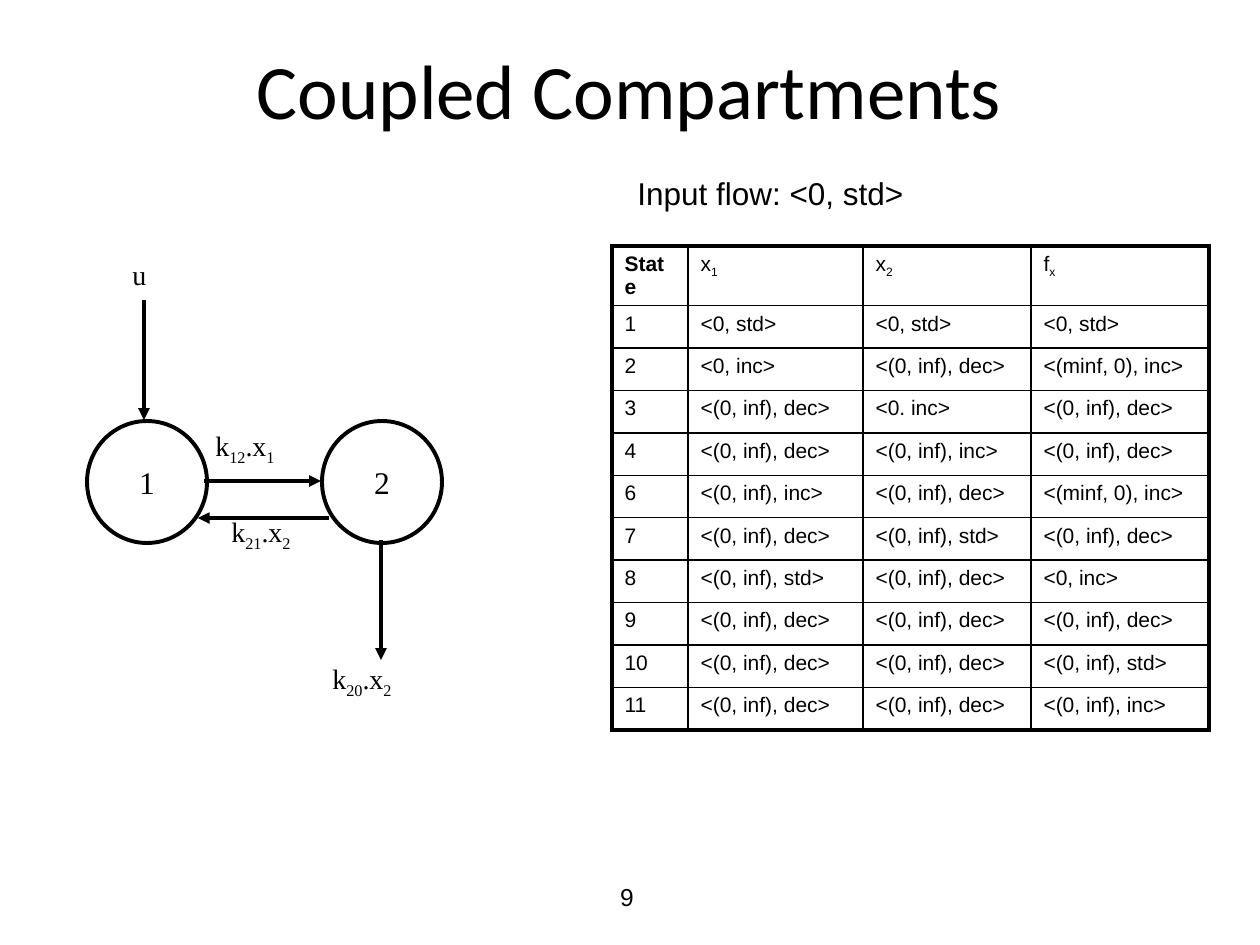
from dataclasses import dataclass

import lxml.etree
import pptx
import pptx.dml.color
import pptx.enum.shapes
import pptx.enum.text
import pptx.util
from pptx.oxml import ns

EMU_PER_PX = 914400 / 126
COLORS = {"ink": "000000"}
SANS, SERIF, HEADING = "Arial", "Times New Roman", "Calibri"
THICK, THIN = 2.25, 1
ALIGN = pptx.enum.text.PP_ALIGN
ANCHOR = pptx.enum.text.MSO_ANCHOR
AUTO_SIZE = pptx.enum.text.MSO_AUTO_SIZE


@dataclass
class Box:
    left: int
    top: int
    width: int
    height: int

    def emu(self) -> list[int]:
        return [px(n) for n in (self.left, self.top, self.width, self.height)]


@dataclass
class Label:
    text: str
    box: Box
    font: str = SERIF
    size: int = 16


@dataclass
class Arrow:
    start: tuple[int, int]
    end: tuple[int, int]


def px(length: int) -> int:
    return round(length * EMU_PER_PX)


def ink() -> pptx.dml.color.RGBColor:
    return pptx.dml.color.RGBColor.from_string(COLORS["ink"])


def write_text(frame, text: str, *, font: str, size: int, bold: bool = False,
               align=ALIGN.LEFT, anchor=ANCHOR.TOP, wrap: bool = True,
               auto_size=AUTO_SIZE.NONE) -> None:
    """Write one paragraph; every second part between bars is a subscript."""
    frame.word_wrap = wrap
    frame.auto_size = auto_size
    frame.vertical_anchor = anchor
    paragraph = frame.paragraphs[0]
    paragraph.alignment = align
    for index, part in enumerate(text.split("|")):
        if not part:
            continue
        run = paragraph.add_run()
        run.text = part
        run.font.name = font
        run.font.size = pptx.util.Pt(size)
        run.font.bold = bold
        run.font.color.rgb = ink()
        if index % 2:
            run._r.get_or_add_rPr().set("baseline", "-25000")


def draw_label(slide, label: Label) -> None:
    shape = slide.shapes.add_textbox(*label.box.emu())
    write_text(shape.text_frame, label.text, font=label.font, size=label.size,
               wrap=False, auto_size=AUTO_SIZE.SHAPE_TO_FIT_TEXT)


def draw_compartment(slide, name: str, box: Box) -> None:
    shape = slide.shapes.add_shape(pptx.enum.shapes.MSO_SHAPE.OVAL, *box.emu())
    shape.shadow.inherit = False
    shape.fill.background()
    shape.line.color.rgb = ink()
    shape.line.width = pptx.util.Pt(THICK)
    write_text(shape.text_frame, name, font=SERIF, size=18, align=ALIGN.CENTER,
               anchor=ANCHOR.MIDDLE, wrap=False)


def draw_arrow(slide, arrow: Arrow) -> None:
    ends = [px(n) for n in (*arrow.start, *arrow.end)]
    connector = slide.shapes.add_connector(
        pptx.enum.shapes.MSO_CONNECTOR.STRAIGHT, *ends)
    connector.line.color.rgb = ink()
    connector.line.width = pptx.util.Pt(THICK)
    properties = connector._element.spPr
    line = properties.find(ns.qn("a:ln"))
    lxml.etree.SubElement(line, ns.qn("a:tailEnd"), type="triangle")
    lxml.etree.SubElement(properties, ns.qn("a:effectLst"))


def set_borders(cell, widths: dict[str, float]) -> None:
    properties = cell._tc.get_or_add_tcPr()
    for side, width in widths.items():
        line = lxml.etree.SubElement(properties, ns.qn(f"a:ln{side}"),
                                     w=str(pptx.util.Pt(width)))
        fill = lxml.etree.SubElement(line, ns.qn("a:solidFill"))
        lxml.etree.SubElement(fill, ns.qn("a:srgbClr"), val=COLORS["ink"])


def draw_table(slide, box: Box, widths: list[int], rows: list[list[str]]) -> None:
    last_row, last_column = len(rows) - 1, len(widths) - 1
    table = slide.shapes.add_table(len(rows), len(widths), *box.emu()).table
    table.first_row = table.horz_banding = False
    for column, width in zip(table.columns, widths):
        column.width = px(width)
    for r, values in enumerate(rows):
        for c, value in enumerate(values):
            cell = table.cell(r, c)
            set_borders(cell, {
                "L": THICK if c == 0 else THIN,
                "R": THICK if c == last_column else THIN,
                "T": THICK if r == 0 else THIN,
                "B": THICK if r == last_row else THIN,
            })
            cell.fill.background()
            write_text(cell.text_frame, value, font=SANS, size=12,
                       bold=r == c == 0)


# Content
DEC, INC, STD = "<(0, inf), dec>", "<(0, inf), inc>", "<(0, inf), std>"
ZERO_STD, ZERO_INC, MINUS_INC = "<0, std>", "<0, inc>", "<(minf, 0), inc>"
STATES = [
    ["State", "x|1", "x|2", "f|x"],
    ["1", ZERO_STD, ZERO_STD, ZERO_STD],
    ["2", ZERO_INC, DEC, MINUS_INC],
    ["3", DEC, "<0. inc>", DEC],
    ["4", DEC, INC, DEC],
    ["6", INC, DEC, MINUS_INC],
    ["7", DEC, STD, DEC],
    ["8", STD, DEC, ZERO_INC],
    ["9", DEC, DEC, DEC],
    ["10", DEC, DEC, STD],
    ["11", DEC, DEC, INC],
]
COMPARTMENTS = {"1": Box(87, 421, 120, 122), "2": Box(322, 421, 120, 122)}
ARROWS = [
    Arrow((204, 481), (321, 481)),
    Arrow((144, 300), (144, 420)),
    Arrow((381, 540), (381, 660)),
    Arrow((329, 518), (198, 518)),
]
LABELS = [
    Label("Input flow: <0, std>", Box(625, 168, 291, 50), SANS, 18),
    Label("u", Box(120, 251, 39, 46)),
    Label("k|12|.x|1", Box(203, 422, 89, 46)),
    Label("k|20|.x|2", Box(320, 655, 89, 46)),
    Label("k|21|.x|2", Box(219, 508, 89, 46)),
]


def main() -> None:
    presentation = pptx.Presentation()
    presentation.slide_width, presentation.slide_height = px(1260), px(945)
    slide = presentation.slides.add_slide(presentation.slide_layouts[5])

    # Title and page number
    title = slide.shapes.title
    title.left, title.top, title.width, title.height = Box(94, 10, 1071, 158).emu()
    write_text(title.text_frame, "Coupled Compartments", font=HEADING, size=44,
               align=ALIGN.CENTER, anchor=ANCHOR.MIDDLE)
    number = slide.shapes.add_textbox(*Box(496, 876, 262, 63).emu())
    write_text(number.text_frame, "9", font=SANS, size=14, align=ALIGN.CENTER)

    # State table
    draw_table(slide, Box(612, 246, 597, 467), [76, 175, 168, 178], STATES)

    # Compartment diagram
    for name, box in COMPARTMENTS.items():
        draw_compartment(slide, name, box)
    for arrow in ARROWS:
        draw_arrow(slide, arrow)
    for label in LABELS:
        draw_label(slide, label)

    presentation.save("out.pptx")


if __name__ == "__main__":
    main()
